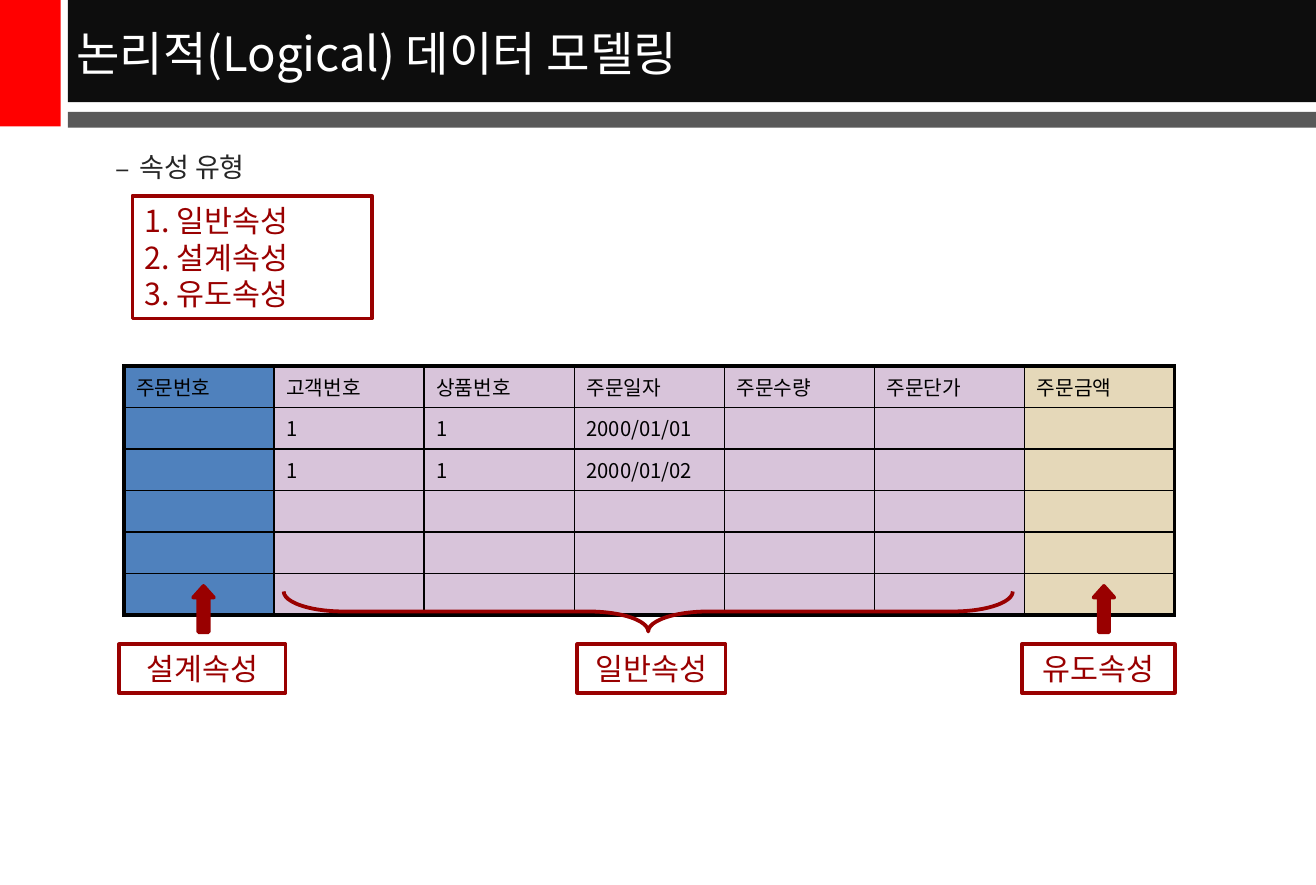
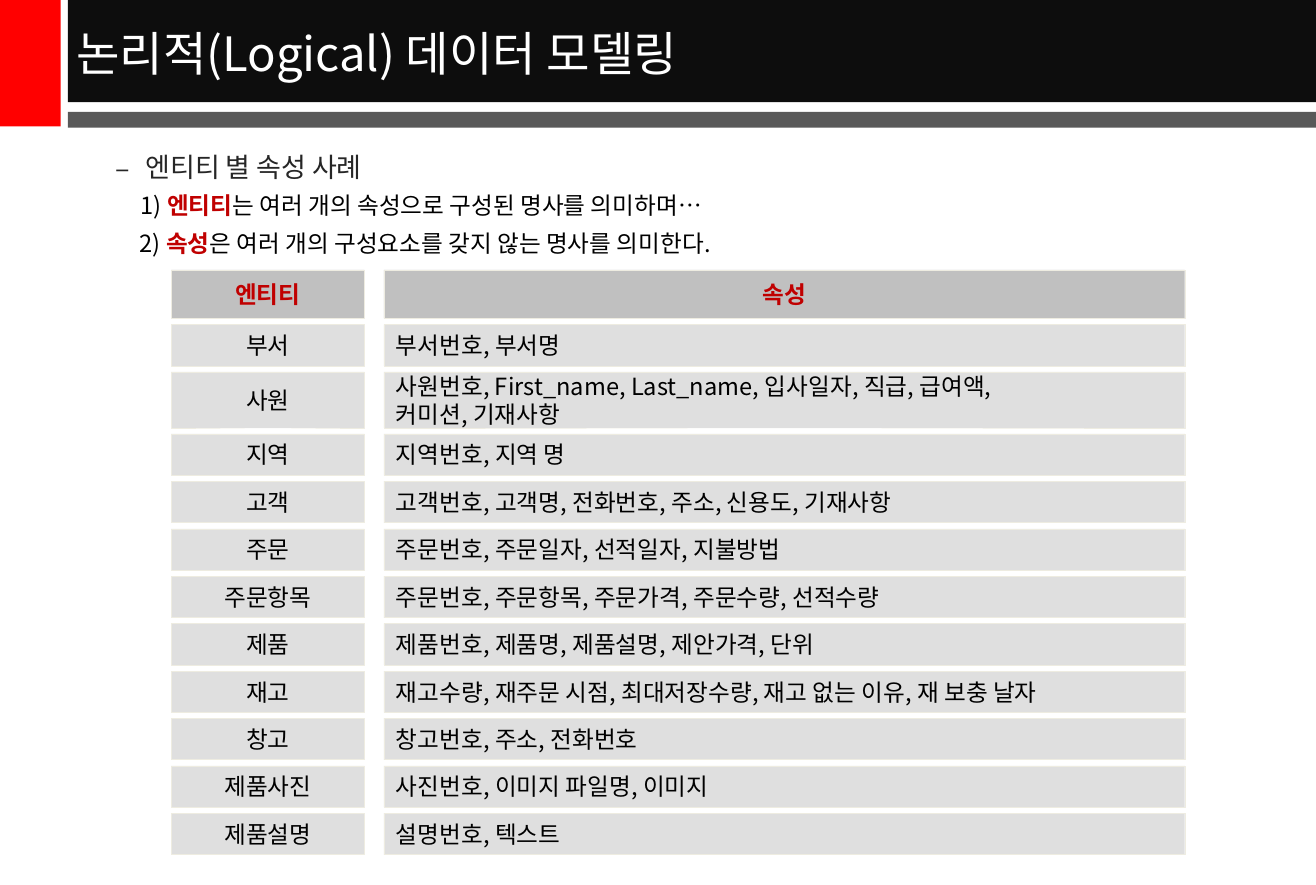
from dataclasses import dataclass

from lxml import etree
from pptx import Presentation
from pptx.dml.color import RGBColor
from pptx.enum.shapes import MSO_SHAPE
from pptx.enum.text import MSO_ANCHOR, PP_ALIGN
from pptx.oxml.ns import qn
from pptx.shapes.autoshape import Shape
from pptx.slide import Slide
from pptx.table import _Cell
from pptx.text.text import _Paragraph, _Run
from pptx.util import Inches, Pt

RECTANGLE = MSO_SHAPE.RECTANGLE
UP_ARROW = MSO_SHAPE.UP_ARROW
LEFT_BRACE = MSO_SHAPE.LEFT_BRACE
LEFT, CENTER = PP_ALIGN.LEFT, PP_ALIGN.CENTER
MIDDLE = MSO_ANCHOR.MIDDLE

FONT = "Noto Sans CJK KR"
WHITE = RGBColor(0xFF, 0xFF, 0xFF)
BLACK = RGBColor(0x00, 0x00, 0x00)
RED = RGBColor(0xFF, 0x00, 0x00)
NEAR_BLACK = RGBColor(0x0D, 0x0D, 0x0D)
DARK_GRAY = RGBColor(0x59, 0x59, 0x59)
TEXT_GRAY = RGBColor(0x26, 0x26, 0x26)
MAROON = RGBColor(0x99, 0x00, 0x00)
KEYWORD_RED = RGBColor(0xC0, 0x00, 0x00)
SILVER = RGBColor(0xC0, 0xC0, 0xC0)
IVORY = RGBColor(0xEE, 0xEC, 0xE1)
DESIGN_BLUE = RGBColor(0x4F, 0x81, 0xBD)
BASIC_LILAC = RGBColor(0xD8, 0xC4, 0xDA)
DERIVED_SAND = RGBColor(0xE5, 0xD8, 0xB9)

TITLE = "논리적(Logical) 데이터 모델링"
LINE_PITCH = 1.19


@dataclass(frozen=True)
class Box:
    left: float
    top: float
    width: float
    height: float


@dataclass(frozen=True)
class Band:
    box: Box
    color: RGBColor


@dataclass(frozen=True)
class Label:
    box: Box
    text: str
    align: PP_ALIGN = CENTER


@dataclass(frozen=True)
class Definition:
    box: Box
    number: str
    keyword: str
    meaning: str


@dataclass(frozen=True)
class Entity:
    name: str
    attributes: str
    height: float = 0.34


BANDS = [
    Band(Box(0, 0, 0.5, 1.04), RED),
    Band(Box(0.56, 0, 10.27, 0.84), NEAR_BLACK),
    Band(Box(0.56, 0.92, 10.27, 0.13), DARK_GRAY),
]

ATTRIBUTE_LABELS = [
    Label(Box(0.98, 5.3, 1.37, 0.4), "설계속성"),
    Label(Box(8.41, 5.3, 1.26, 0.4), "유도속성"),
    Label(Box(4.75, 5.3, 1.22, 0.4), "일반속성"),
    Label(Box(1.09, 1.61, 1.97, 1.01), "1. 일반속성\n2. 설계속성\n3. 유도속성", LEFT),
]
ARROW_LEFTS = [1.59, 9.0]

ORDER_ROWS = [
    ["주문번호", "고객번호", "상품번호", "주문일자", "주문수량", "주문단가", "주문금액"],
    ["", "1", "1", "2000/01/01", "", "", ""],
    ["", "1", "1", "2000/01/02", "", "", ""],
    *[[""] * 7 for _ in range(3)],
]
COLUMN_COLORS = [DESIGN_BLUE, *[BASIC_LILAC] * 5, DERIVED_SAND]

DEFINITIONS = [
    Definition(Box(1.06, 1.52, 9.08, 0.34), "1) ", "엔티티",
               "는 여러 개의 속성으로 구성된 명사를 의미하며…"),
    Definition(Box(1.05, 1.83, 9.25, 0.34), "2) ", "속성",
               "은 여러 개의 구성요소를 갖지 않는 명사를 의미한다."),
]

ENTITY_HEADER = Entity("엔티티", "속성", 0.4)
ENTITIES = [
    Entity("부서", "부서번호, 부서명"),
    Entity("사원", "사원번호, First_name, Last_name, 입사일자, 직급, 급여액,\n커미션, 기재사항", 0.46),
    Entity("지역", "지역번호, 지역 명"),
    Entity("고객", "고객번호, 고객명, 전화번호, 주소, 신용도, 기재사항"),
    Entity("주문", "주문번호, 주문일자, 선적일자, 지불방법"),
    Entity("주문항목", "주문번호, 주문항목, 주문가격, 주문수량, 선적수량"),
    Entity("제품", "제품번호, 제품명, 제품설명, 제안가격, 단위"),
    Entity("재고", "재고수량, 재주문 시점, 최대저장수량, 재고 없는 이유, 재 보충 날자"),
    Entity("창고", "창고번호, 주소, 전화번호"),
    Entity("제품사진", "사진번호, 이미지 파일명, 이미지"),
    Entity("제품설명", "설명번호, 텍스트"),
]
ENTITY_TOP, ENTITY_GAP = 2.22, 0.05


def lengths(box: Box) -> tuple[int, int, int, int]:
    return Inches(box.left), Inches(box.top), Inches(box.width), Inches(box.height)


def format_run(run: _Run, size: float, color: RGBColor, bold: bool = False) -> None:
    """Set the font for both Latin and Korean characters."""
    run.font.size = Pt(size)
    run.font.bold = bold
    run.font.color.rgb = color
    run.font.name = FONT
    etree.SubElement(run.font._element, qn("a:ea"), typeface=FONT)


def format_paragraph(paragraph: _Paragraph, size: float, color: RGBColor,
                     bold: bool = False) -> None:
    for run in paragraph.runs:
        format_run(run, size, color, bold)


def add_figure(slide: Slide, preset: MSO_SHAPE, box: Box, fill: RGBColor | None = None,
               line: RGBColor | None = None, line_width: float = 2.25) -> Shape:
    figure = slide.shapes.add_shape(preset, *lengths(box))
    figure.shadow.inherit = False
    if fill is None:
        figure.fill.background()
    else:
        figure.fill.solid()
        figure.fill.fore_color.rgb = fill
    if line is None:
        figure.line.fill.background()
    else:
        figure.line.color.rgb = line
        figure.line.width = Pt(line_width)
    return figure


def write_centered(figure: Shape, text: str, size: float, color: RGBColor,
                   align: PP_ALIGN, bold: bool = False) -> None:
    """Fill a figure with vertically centred text, one paragraph a line."""
    frame = figure.text_frame
    frame.word_wrap = True
    frame.vertical_anchor = MIDDLE
    frame.margin_top = frame.margin_bottom = 0
    frame.text = text
    for paragraph in frame.paragraphs:
        paragraph.alignment = align
        paragraph.line_spacing = Pt(size * LINE_PITCH)
        format_paragraph(paragraph, size, color, bold)


def add_topic_slide(deck: Presentation, topic: str) -> Slide:
    """Add a slide with the shared bands and title, and its dashed topic line."""
    slide = deck.slides.add_slide(deck.slide_layouts[5])
    title = slide.shapes.title
    for band in BANDS:
        stripe = add_figure(slide, RECTANGLE, band.box, band.color)
        title.element.addprevious(stripe.element)
    title.left, title.top, title.width, title.height = lengths(Box(0.53, 0.02, 10.3, 0.82))
    title.text_frame.text = TITLE
    title.text_frame.vertical_anchor = MIDDLE
    heading = title.text_frame.paragraphs[0]
    heading.alignment = LEFT
    format_paragraph(heading, 28, WHITE)

    body = slide.shapes.add_textbox(*lengths(Box(0.38, 1.19, 10.07, 0.4)))
    body.text_frame.word_wrap = True
    line = body.text_frame.paragraphs[0]
    line.text = topic
    format_paragraph(line, 16, TEXT_GRAY)
    properties = line._p.get_or_add_pPr()
    properties.set("marL", str(Inches(0.67)))
    properties.set("indent", str(Inches(-0.2)))
    etree.SubElement(properties, qn("a:buFont"), typeface=FONT)
    etree.SubElement(properties, qn("a:buChar"), char="–")
    return slide


def set_borders(cell: _Cell, widths: dict[str, float]) -> None:
    properties = cell._tc.get_or_add_tcPr()
    for side, width in widths.items():
        border = etree.SubElement(properties, qn(f"a:ln{side}"), w=str(Pt(width)))
        fill = etree.SubElement(border, qn("a:solidFill"))
        etree.SubElement(fill, qn("a:srgbClr"), val=str(BLACK))


def add_order_table(slide: Slide) -> None:
    row_count, column_count = len(ORDER_ROWS), len(COLUMN_COLORS)
    box = Box(1.02, 3.01, 8.65, 2.05)
    table = slide.shapes.add_table(row_count, column_count, *lengths(box)).table
    for row_index, row in enumerate(ORDER_ROWS):
        for column_index, text in enumerate(row):
            cell = table.cell(row_index, column_index)
            outer = {
                "L": column_index == 0,
                "R": column_index == column_count - 1,
                "T": row_index == 0,
                "B": row_index == row_count - 1,
            }
            set_borders(cell, {side: 2.25 if edge else 1 for side, edge in outer.items()})
            cell.fill.solid()
            cell.fill.fore_color.rgb = COLUMN_COLORS[column_index]
            cell.vertical_anchor = MIDDLE
            paragraph = cell.text_frame.paragraphs[0]
            paragraph.text = text
            format_paragraph(paragraph, 12, BLACK)
            # Keeps empty cells from growing to the default text size
            etree.SubElement(paragraph._p, qn("a:endParaRPr"), sz="1200")


def build_attribute_types(deck: Presentation) -> None:
    slide = add_topic_slide(deck, "속성 유형")
    add_order_table(slide)
    for label in ATTRIBUTE_LABELS:
        frame = add_figure(slide, RECTANGLE, label.box, line=MAROON)
        write_centered(frame, label.text, 18, MAROON, label.align)
    for left in ARROW_LEFTS:
        arrow = add_figure(slide, UP_ARROW, Box(left, 4.82, 0.17, 0.38), MAROON, MAROON)
        arrow.adjustments[1] = 0.56
    brace = add_figure(slide, LEFT_BRACE, Box(5.17, 2.03, 0.33, 6), line=MAROON)
    brace.adjustments[0] = 1.5
    brace.rotation = 270


def add_entity_row(slide: Slide, entity: Entity, top: float, header: bool = False) -> None:
    columns = [
        Label(Box(3.16, top, 6.59, entity.height), entity.attributes, CENTER if header else LEFT),
        Label(Box(1.41, top, 1.59, entity.height), entity.name),
    ]
    for column in columns:
        panel = add_figure(slide, RECTANGLE, column.box, SILVER, IVORY, 0.25)
        if not header:
            color = panel.element.spPr.find(f"{qn('a:solidFill')}/{qn('a:srgbClr')}")
            etree.SubElement(color, qn("a:alpha"), val="50000")
        write_centered(panel, column.text, 14, KEYWORD_RED if header else BLACK,
                       column.align, header)


def add_definition(slide: Slide, definition: Definition) -> None:
    note = slide.shapes.add_textbox(*lengths(definition.box))
    note.text_frame.word_wrap = True
    paragraph = note.text_frame.paragraphs[0]
    for text in (definition.number, definition.keyword, definition.meaning):
        run = paragraph.add_run()
        run.text = text
        is_keyword = text == definition.keyword
        format_run(run, 14, KEYWORD_RED if is_keyword else BLACK, is_keyword)


def build_entity_examples(deck: Presentation) -> None:
    slide = add_topic_slide(deck, " 엔티티 별 속성 사례")
    top = ENTITY_TOP
    for entity in [ENTITY_HEADER, *ENTITIES]:
        add_entity_row(slide, entity, top, header=entity is ENTITY_HEADER)
        top += entity.height + ENTITY_GAP
    for definition in DEFINITIONS:
        add_definition(slide, definition)


def main() -> None:
    deck = Presentation()
    deck.slide_width, deck.slide_height = Inches(10.83), Inches(7.28)
    build_attribute_types(deck)
    build_entity_examples(deck)
    deck.save("out.pptx")


if __name__ == "__main__":
    main()
